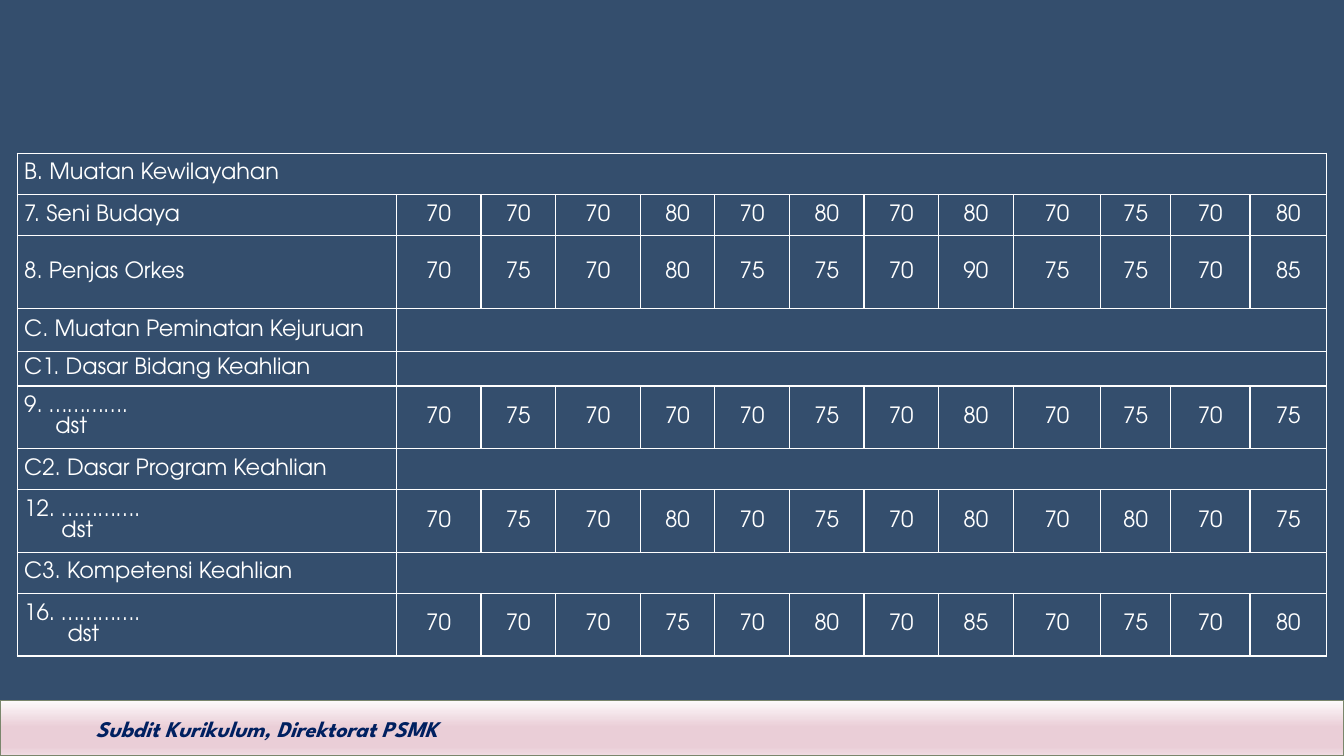
from lxml import etree
from pptx import Presentation
from pptx.dml.color import RGBColor
from pptx.enum.shapes import MSO_SHAPE
from pptx.enum.text import MSO_ANCHOR, MSO_AUTO_SIZE, PP_ALIGN
from pptx.oxml.ns import qn
from pptx.util import Pt

PX = 9144  # 100 px to the inch
RECT = MSO_SHAPE.RECTANGLE
MID = MSO_ANCHOR.MIDDLE
LEFT, MIDDLE = PP_ALIGN.LEFT, PP_ALIGN.CENTER
GROW = MSO_AUTO_SIZE.SHAPE_TO_FIT_TEXT

WHITE = "FFFFFF"
BODY = {"size": Pt(16), "name": "TeX Gyre Adventor"}
FOOT = {"size": Pt(16), "name": "League Spartan", "bold": True, "italic": True}
BAND = [(0, "FDFAFB"), (48, "EACED7"), (84, "EACED7"), (100, "F1DEE5")]

COLS = [376, 84, 74, 84, 74, 74, 74, 74, 74, 87, 69, 79, 76]
# Row height, label, indent of the label's second line, marks
ROWS = [
    (41, "B. Muatan Kewilayahan", 0, None),
    (41, "7. Seni Budaya", 0, [70, 70, 70, 80, 70, 80, 70, 80, 70, 75, 70, 80]),
    (72, "8. Penjas Orkes", 0, [70, 75, 70, 80, 75, 75, 70, 90, 75, 75, 70, 85]),
    (43, "C. Muatan Peminatan Kejuruan", 0, []),
    (34, "C1. Dasar Bidang Keahlian", 0, []),
    (62, "9. ………….\ndst", 31, [70, 75, 70, 70, 70, 75, 70, 80, 70, 75, 70, 75]),
    (41, "C2. Dasar Program Keahlian", 0, []),
    (62, "12. ………….\ndst", 37, [70, 75, 70, 80, 70, 75, 70, 80, 70, 80, 70, 75]),
    (41, "C3. Kompetensi Keahlian", 0, []),
    (62, "16. ………….\ndst", 43, [70, 70, 70, 75, 70, 80, 70, 85, 70, 75, 70, 80]),
]


def px(*vals):
    return [v * PX for v in vals]


def tint(code):
    return RGBColor.from_string(code)


def style(font, look, code):
    for key, val in look.items():
        setattr(font, key, val)
    font.color.rgb = tint(code)


def fill_stops(fill, stops):
    fill.gradient()
    fill.gradient_angle = 270
    grad = fill.gradient_stops[0].color  # makes sure the list exists
    return stops if grad is not None else []


def band(slide, box):
    """Footer bar with its gradient and caption."""
    x, y, w, h = box
    bar = slide.shapes.add_shape(RECT, *px(x, y, w, h))
    bar.shadow.inherit = False
    bar.line.color.rgb = tint("7A866C")
    bar.line.width = Pt(1)
    bar.fill.gradient()
    bar.fill.gradient_angle = 270
    stops = next(bar.element.iter(qn("a:gsLst")))
    for old in list(stops):
        stops.remove(old)
    for pos, code in BAND:
        stop = etree.SubElement(stops, qn("a:gs"), pos=str(pos * 1000))
        etree.SubElement(stop, qn("a:srgbClr"), val=code)

    note = slide.shapes.add_textbox(*px(x + 85, y + 10, 383, 37))
    frame = note.text_frame
    frame.word_wrap = False
    frame.auto_size = GROW
    run = frame.paragraphs[0].add_run()
    run.text = "Subdit Kurikulum, Direktorat PSMK"
    style(run.font, FOOT, "002060")


def edge(cell):
    """Bare cell with thin white borders."""
    cell.fill.background()
    cell.vertical_anchor = MID
    cell.margin_left = cell.margin_right = 7 * PX
    cell.margin_top = cell.margin_bottom = 0
    props = cell._tc.get_or_add_tcPr()
    for spot, side in enumerate(("lnL", "lnR", "lnT", "lnB")):
        line = etree.Element(qn("a:" + side), w=str(Pt(1)))
        paint = etree.SubElement(line, qn("a:solidFill"))
        etree.SubElement(paint, qn("a:srgbClr"), val=WHITE)
        props.insert(spot, line)


def write(cell, text, align=LEFT, inset=0):
    lines = text.split("\n")
    for num, line in enumerate(lines):
        frame = cell.text_frame
        para = frame.add_paragraph() if num else frame.paragraphs[0]
        para.alignment = align
        para.space_before = Pt(0 if num else 3)
        para.space_after = Pt(3 if num == len(lines) - 1 else 0)
        if num:
            para._p.get_or_add_pPr().set("marL", str(inset * PX))
        run = para.add_run()
        run.text = line
        style(run.font, BODY, WHITE)


def marks(slide, box):
    """Table of subjects and their marks."""
    grid = slide.shapes.add_table(len(ROWS), len(COLS), *px(*box)).table
    grid.first_row = grid.horz_banding = False
    for col, wide in zip(grid.columns, COLS):
        col.width = wide * PX
    last = len(COLS) - 1
    for r, (high, label, inset, vals) in enumerate(ROWS):
        grid.rows[r].height = high * PX
        for c in range(len(COLS)):
            edge(grid.cell(r, c))
        write(grid.cell(r, 0), label, inset=inset)
        if not vals:
            start = 0 if vals is None else 1
            grid.cell(r, start).merge(grid.cell(r, last))
            continue
        for c, val in enumerate(vals, 1):
            write(grid.cell(r, c), str(val), MIDDLE)


def main():
    deck = Presentation()
    deck.slide_width, deck.slide_height = px(1333, 750)
    slide = deck.slides.add_slide(deck.slide_layouts[6])
    back = slide.background.fill
    back.solid()
    back.fore_color.rgb = tint("344E6D")
    band(slide, (0, 695, 1333, 55))
    marks(slide, (17, 152, sum(COLS), sum(row[0] for row in ROWS)))
    deck.save("out.pptx")


if __name__ == "__main__":
    main()
